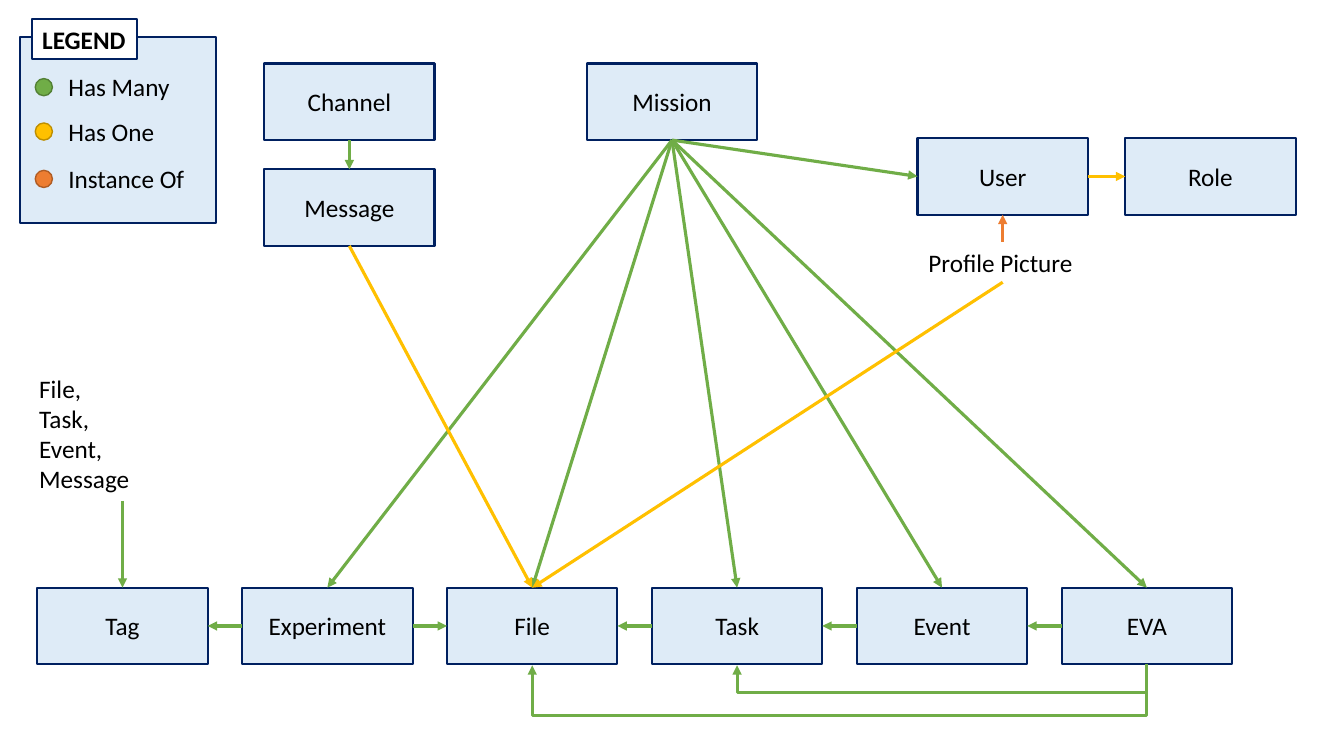
"""Draw the entity relationship diagram of a mission database."""
import dataclasses
import typing

import lxml.etree
import pptx
import pptx.dml.color
import pptx.enum.shapes
import pptx.enum.text
import pptx.oxml.ns
import pptx.util

Inches = pptx.util.Inches
Pt = pptx.util.Pt
RGBColor = pptx.dml.color.RGBColor
Shape = pptx.enum.shapes.MSO_SHAPE
Connector = pptx.enum.shapes.MSO_CONNECTOR
Align = pptx.enum.text.PP_ALIGN
Point = tuple[float, float]

WHITE = RGBColor(0xFF, 0xFF, 0xFF)
BLACK = RGBColor(0x00, 0x00, 0x00)
PALE_BLUE = RGBColor(0xDE, 0xEB, 0xF7)
NAVY = RGBColor(0x00, 0x20, 0x60)
GREEN = RGBColor(0x70, 0xAD, 0x47)
DARK_GREEN = RGBColor(0x53, 0x80, 0x35)
GOLD = RGBColor(0xFF, 0xC0, 0x00)
DARK_GOLD = RGBColor(0xBD, 0x8E, 0x00)
ORANGE = RGBColor(0xED, 0x7D, 0x31)
DARK_ORANGE = RGBColor(0xAF, 0x5C, 0x24)

BOX_WIDTH, BOX_HEIGHT = 1.69, 0.76
ROW_LEFT, ROW_TOP, ROW_STEP = 0.37, 5.83, 2.032
ROW_NAMES = ["Tag", "Experiment", "File", "Task", "Event", "EVA"]
LABEL_HEIGHT = 0.4
DOT_SIZE = 0.17
ELBOW_RISE = 0.01


@dataclasses.dataclass(frozen=True)
class Entity:
    name: str
    left: float
    top: float

    @property
    def above(self) -> Point:
        return self.left + BOX_WIDTH / 2, self.top

    @property
    def below(self) -> Point:
        return self.left + BOX_WIDTH / 2, self.top + BOX_HEIGHT

    @property
    def west(self) -> Point:
        return self.left, self.top + BOX_HEIGHT / 2

    @property
    def east(self) -> Point:
        return self.left + BOX_WIDTH, self.top + BOX_HEIGHT / 2


@dataclasses.dataclass(frozen=True)
class Relation:
    start: Point
    end: Point
    color: RGBColor


@dataclasses.dataclass(frozen=True)
class LegendEntry:
    label: str
    fill: RGBColor
    line: RGBColor
    top: float
    width: float


LEGEND = [
    LegendEntry("Has Many", GREEN, DARK_GREEN, 0.66, 1.22),
    LegendEntry("Has One", GOLD, DARK_GOLD, 1.1, 1.06),
    LegendEntry("Instance Of", ORANGE, DARK_ORANGE, 1.57, 1.36),
]


def write(shape: typing.Any, lines: list[str], align: Align, wrap: bool, bold: bool = False) -> None:
    frame = shape.text_frame
    frame.word_wrap = wrap
    frame.text = "\n".join(lines)
    for para in frame.paragraphs:
        para.alignment = align
        para.font.name = "Calibri"
        para.font.size = Pt(18)
        para.font.bold = bold
        para.font.color.rgb = BLACK


def draw_shape(shapes: typing.Any, kind: Shape, left: float, top: float, width: float, height: float,
               fill: RGBColor, line: RGBColor, weight: float = 1.5) -> typing.Any:
    shape = shapes.add_shape(kind, Inches(left), Inches(top), Inches(width), Inches(height))
    shape.shadow.inherit = False
    shape.fill.solid()
    shape.fill.fore_color.rgb = fill
    shape.line.color.rgb = line
    shape.line.width = Pt(weight)
    return shape


def draw_label(shapes: typing.Any, lines: list[str], left: float, top: float, width: float,
               height: float = LABEL_HEIGHT, wrap: bool = False) -> None:
    label = shapes.add_textbox(Inches(left), Inches(top), Inches(width), Inches(height))
    write(label, lines, Align.LEFT, wrap)
    label.text_frame.auto_size = pptx.enum.text.MSO_AUTO_SIZE.SHAPE_TO_FIT_TEXT


def draw_entity(shapes: typing.Any, entity: Entity) -> None:
    box = draw_shape(shapes, Shape.RECTANGLE, entity.left, entity.top, BOX_WIDTH, BOX_HEIGHT, PALE_BLUE, NAVY)
    box.text_frame.vertical_anchor = pptx.enum.text.MSO_ANCHOR.MIDDLE
    write(box, [entity.name], Align.CENTER, True)


def draw_arrow(shapes: typing.Any, relation: Relation, kind: Connector = Connector.STRAIGHT) -> typing.Any:
    qn = pptx.oxml.ns.qn
    arrow = shapes.add_connector(kind, *map(Inches, relation.start + relation.end))
    arrow.line.color.rgb = relation.color
    arrow.line.width = Pt(2.25)
    properties = arrow.element.find(qn("p:spPr"))
    lxml.etree.SubElement(properties.find(qn("a:ln")), qn("a:tailEnd"), type="triangle")
    lxml.etree.SubElement(properties, qn("a:effectLst"))
    return arrow


def draw_loop(shapes: typing.Any, source: Entity, target: Entity, drop: float) -> None:
    """Draw an elbow, turned a quarter, that dips under the row of boxes."""
    qn = pptx.oxml.ns.qn
    center = (source.below[0] + target.below[0]) / 2
    middle = source.below[1] + ELBOW_RISE / 2
    span = source.left - target.left
    relation = Relation((center - ELBOW_RISE / 2, middle - span / 2),
                        (center + ELBOW_RISE / 2, middle + span / 2), GREEN)
    properties = draw_arrow(shapes, relation, Connector.ELBOW).element.find(qn("p:spPr"))
    properties.find(qn("a:xfrm")).set("rot", str(90 * 60000))
    adjustments = properties.find(qn("a:prstGeom")).find(qn("a:avLst"))
    lxml.etree.SubElement(adjustments, qn("a:gd"), name="adj1", fmla=f"val {round(drop / ELBOW_RISE * 100000)}")


def draw_legend(shapes: typing.Any) -> None:
    legend = shapes.add_group_shape().shapes
    draw_shape(legend, Shape.RECTANGLE, 0.2, 0.37, 1.94, 1.84, PALE_BLUE, NAVY)
    heading = draw_shape(legend, Shape.RECTANGLE, 0.32, 0.19, 1.04, LABEL_HEIGHT, WHITE, NAVY)
    write(heading, ["LEGEND"], Align.LEFT, False, bold=True)
    for entry in LEGEND:
        draw_shape(legend, Shape.OVAL, 0.35, entry.top + 0.12, DOT_SIZE, DOT_SIZE, entry.fill, entry.line, 1)
        draw_label(legend, [entry.label], 0.58, entry.top, entry.width)


def main() -> None:
    deck = pptx.Presentation()
    deck.slide_width, deck.slide_height = Inches(13.33), Inches(7.5)
    shapes = deck.slides.add_slide(deck.slide_layouts[6]).shapes

    row = [Entity(name, ROW_LEFT + index * ROW_STEP, ROW_TOP) for index, name in enumerate(ROW_NAMES)]
    tag, experiment, file, task, event, eva = row
    mission = Entity("Mission", 5.82, 0.63)
    channel = Entity("Channel", 2.62, 0.63)
    message = Entity("Message", 2.62, 1.68)
    user = Entity("User", 9.1, 1.37)
    role = Entity("Role", 11.16, 1.37)
    for entity in [mission, channel, message, user, role, *row]:
        draw_entity(shapes, entity)

    picture_x = user.below[0]
    relations = [Relation(mission.below, target.above, GREEN) for target in row[1:]]
    relations += [
        Relation(mission.below, user.west, GREEN),
        Relation(channel.below, message.above, GREEN),
        Relation((picture_x, 2.4), user.below, ORANGE),
        Relation(message.below, file.above, GOLD),
        Relation((picture_x, 2.8), file.above, GOLD),
        Relation(user.east, role.west, GOLD),
        Relation((tag.above[0], 4.97), tag.above, GREEN),
        Relation(experiment.east, file.west, GREEN),
    ]
    neighbours = [(experiment, tag), (task, file), (event, task), (eva, event)]
    relations += [Relation(source.west, target.east, GREEN) for source, target in neighbours]
    for relation in relations:
        draw_arrow(shapes, relation)
    draw_loop(shapes, eva, file, 0.52)
    draw_loop(shapes, eva, task, 0.28)

    draw_legend(shapes)
    draw_label(shapes, ["File,", "Task,", "Event,", "Message"], 0.29, 3.65, 1.85, 1.31, wrap=True)
    draw_label(shapes, ["Profile Picture"], 9.11, 2.4, 1.65)
    deck.save("out.pptx")


if __name__ == "__main__":
    main()
